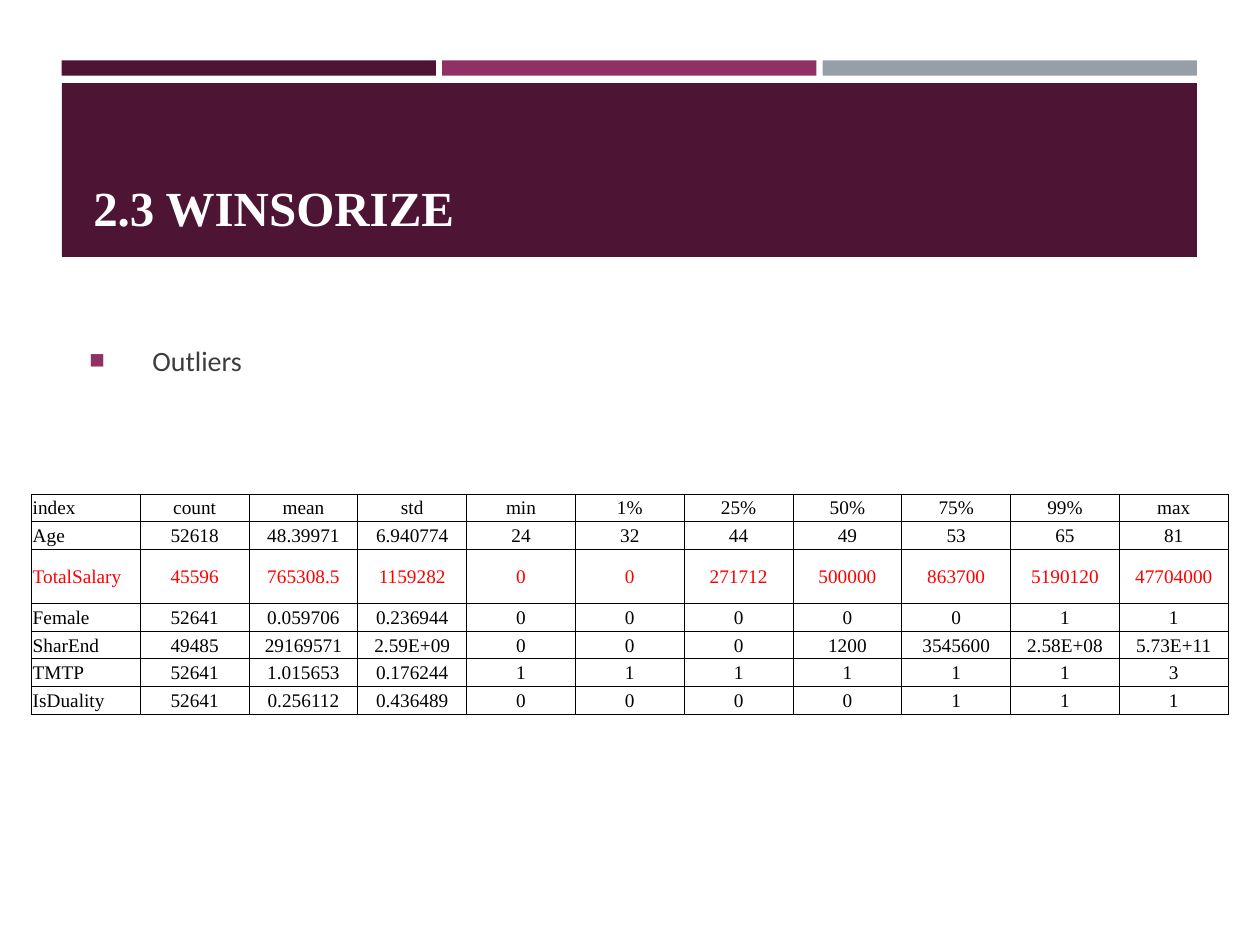
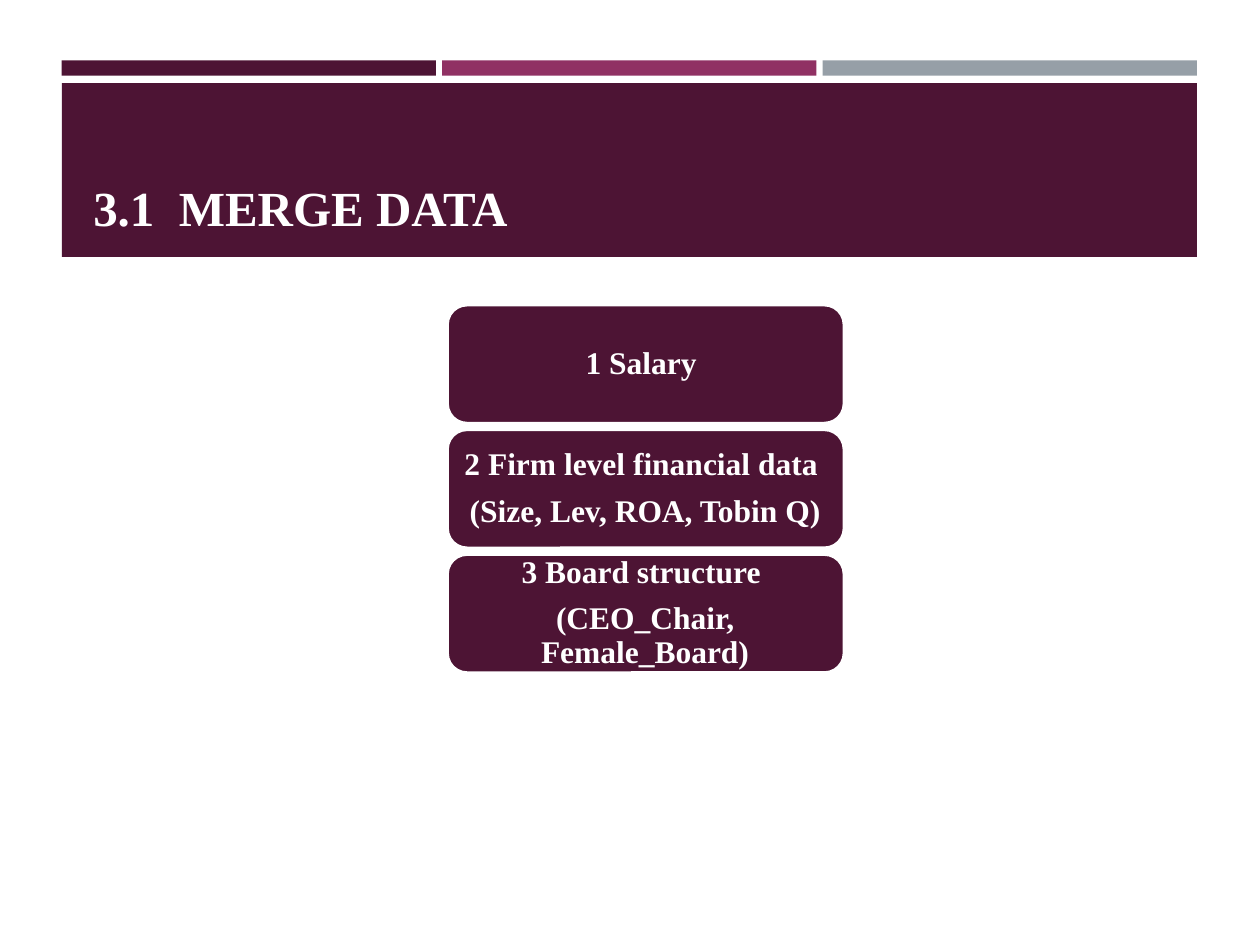
from lxml.etree import SubElement
from pptx import Presentation
from pptx.dml.color import RGBColor
from pptx.enum.shapes import MSO_SHAPE
from pptx.enum.text import MSO_ANCHOR, MSO_AUTO_SIZE, PP_ALIGN
from pptx.oxml.ns import qn
from pptx.util import Inches, Pt

PLUM, MAGENTA, GREY = "4D1434", "903163", "969FA7"
WHITE, BLACK, RED, TEXT_GREY = "FFFFFF", "000000", "FF0000", "3D3D3D"
SERIF, SANS = "Times New Roman", "Calibri"
TITLE_ONLY, TITLE_AND_BODY = 5, 1


def rgb(color):
    return RGBColor.from_string(color)


def set_all(target, values):
    for name, value in values.items():
        setattr(target, name, value)


class Deck:
    """Holds the shared style and the current slide."""

    title_font = {"name": SERIF, "size": Pt(28), "bold": True}
    body_font = {"name": SANS, "size": Pt(16)}
    box_font = {"name": SERIF, "size": Pt(18), "bold": True}
    cell_font = {"name": SERIF, "size": Pt(11), "bold": False}

    def __init__(self):
        self.presentation = Presentation()
        set_all(self.presentation, {"slide_width": Inches(10),
                                    "slide_height": Inches(7.5)})
        self.slide = None

    def add_slide(self, layout, title):
        layouts = self.presentation.slide_layouts
        self.slide = self.presentation.slides.add_slide(layouts[layout])
        self.bands()
        self.title(title)

    def shape(self, kind, box, fill, line=None):
        shape = self.slide.shapes.add_shape(kind, *map(Inches, box))
        shape.shadow.inherit = False
        shape.fill.solid()
        shape.fill.fore_color.rgb = rgb(fill)
        if line:
            shape.line.color.rgb = rgb(line)
            shape.line.width = Pt(1.75)
        else:
            shape.line.fill.background()
        return shape

    def bands(self):
        # Three thin stripes above the title block
        for index, color in enumerate((PLUM, MAGENTA, GREY)):
            self.shape(MSO_SHAPE.RECTANGLE,
                       (0.49 + index * 3.02, 0.48, 2.97, 0.12), color)
        self.shape(MSO_SHAPE.RECTANGLE, (0.49, 0.66, 9.01, 1.38), PLUM)

    def frame(self, shape, anchor):
        set_all(shape.text_frame, {"word_wrap": True,
                                   "auto_size": MSO_AUTO_SIZE.NONE,
                                   "vertical_anchor": anchor})
        return shape.text_frame

    def add_text(self, paragraph, text, font, color, **layout):
        set_all(paragraph, layout)
        run = paragraph.add_run()
        run.text = text
        set_all(run.font, font)
        run.font.color.rgb = rgb(color)

    def place(self, placeholder, box):
        names = ("left", "top", "width", "height")
        set_all(placeholder, dict(zip(names, map(Inches, box))))
        # Bring the text in front of the bands
        self.slide.shapes._spTree.append(placeholder._element)

    def title(self, text):
        title = self.slide.shapes.title
        self.place(title, (0.64, 0.75, 8.74, 1.18))
        frame = self.frame(title, MSO_ANCHOR.BOTTOM)
        self.add_text(frame.paragraphs[0], text, self.title_font, WHITE,
                      alignment=PP_ALIGN.LEFT)

    def bullet(self, text, box):
        body = self.slide.placeholders[1]
        self.place(body, box)
        paragraph = self.frame(body, MSO_ANCHOR.MIDDLE).paragraphs[0]
        properties = paragraph._p.get_or_add_pPr()
        properties.set("marL", str(Inches(0.5)))
        properties.set("indent", str(-Inches(0.5)))
        color = SubElement(properties, qn("a:buClr"))
        SubElement(color, qn("a:srgbClr"), val=MAGENTA)
        SubElement(properties, qn("a:buSzPct"), val="92000")
        SubElement(properties, qn("a:buChar"), char="■")
        self.add_text(paragraph, text, self.body_font, TEXT_GREY,
                      line_spacing=1.5, space_before=Pt(0), space_after=Pt(6))

    def box(self, lines, box):
        shape = self.shape(MSO_SHAPE.ROUNDED_RECTANGLE, box, PLUM, WHITE)
        frame = self.frame(shape, MSO_ANCHOR.MIDDLE)
        set_all(frame, {"margin_left": Inches(0.07), "margin_right": Inches(0.08),
                        "margin_top": Inches(0.04), "margin_bottom": Inches(0.04)})
        for index, line in enumerate(lines):
            paragraph = frame.add_paragraph() if index else frame.paragraphs[0]
            self.add_text(paragraph, line, self.box_font, WHITE,
                          alignment=PP_ALIGN.CENTER, line_spacing=0.9,
                          space_after=Pt(7))

    def border(self, cell):
        properties = cell._tc.get_or_add_tcPr()
        for index, side in enumerate(("lnL", "lnR", "lnT", "lnB")):
            line = properties.makeelement(qn(f"a:{side}"), {"w": str(Pt(0.5))})
            fill = SubElement(line, qn("a:solidFill"))
            SubElement(fill, qn("a:srgbClr"), val=BLACK)
            properties.insert(index, line)

    def table(self, rows, box, heights, highlighted):
        table = self.slide.shapes.add_table(
            len(rows), len(rows[0]), *map(Inches, box)).table
        set_all(table, {"first_row": False, "horz_banding": False})
        for row, values, height in zip(table.rows, rows, heights):
            row.height = Inches(height)
            color = RED if values[0] == highlighted else BLACK
            for column, (cell, value) in enumerate(zip(row.cells, values)):
                cell.fill.background()
                self.border(cell)
                set_all(cell, {"vertical_anchor": MSO_ANCHOR.MIDDLE,
                               "margin_left": Inches(0.01),
                               "margin_right": Inches(0.01),
                               "margin_top": Inches(0.01), "margin_bottom": 0})
                alignment = PP_ALIGN.CENTER if column else PP_ALIGN.LEFT
                self.add_text(cell.text_frame.paragraphs[0], value,
                              self.cell_font, color, alignment=alignment)


STATISTICS = """
index count mean std min 1% 25% 50% 75% 99% max
Age 52618 48.39971 6.940774 24 32 44 49 53 65 81
TotalSalary 45596 765308.5 1159282 0 0 271712 500000 863700 5190120 47704000
Female 52641 0.059706 0.236944 0 0 0 0 0 1 1
SharEnd 49485 29169571 2.59E+09 0 0 0 1200 3545600 2.58E+08 5.73E+11
TMTP 52641 1.015653 0.176244 1 1 1 1 1 1 3
IsDuality 52641 0.256112 0.436489 0 0 0 0 1 1 1
"""

DATA_SETS = [
    ["1 Salary "],
    ["2 Firm level financial data ", "(Size, Lev, ROA, Tobin Q)"],
    ["3 Board structure ", "(CEO_Chair, Female_Board)"],
]


def main():
    deck = Deck()

    # Winsorize: outliers in the descriptive statistics
    deck.add_slide(TITLE_AND_BODY, "2.3 WINSORIZE")
    deck.bullet("Outliers", (0.61, 2.25, 8.85, 1.08))
    rows = [line.split() for line in STATISTICS.strip().splitlines()]
    heights = [0.43 if row[0] == "TotalSalary" else 0.22 for row in rows]
    deck.table(rows, (0.25, 3.92, 9.5, 1.75), heights, "TotalSalary")

    # Merge data: stacked data sets
    deck.add_slide(TITLE_ONLY, "3.1  MERGE DATA")
    for index, lines in enumerate(DATA_SETS):
        deck.box(lines, (3.55, 2.42 + index * 0.99, 3.15, 0.94))

    deck.presentation.save("out.pptx")


if __name__ == "__main__":
    main()
